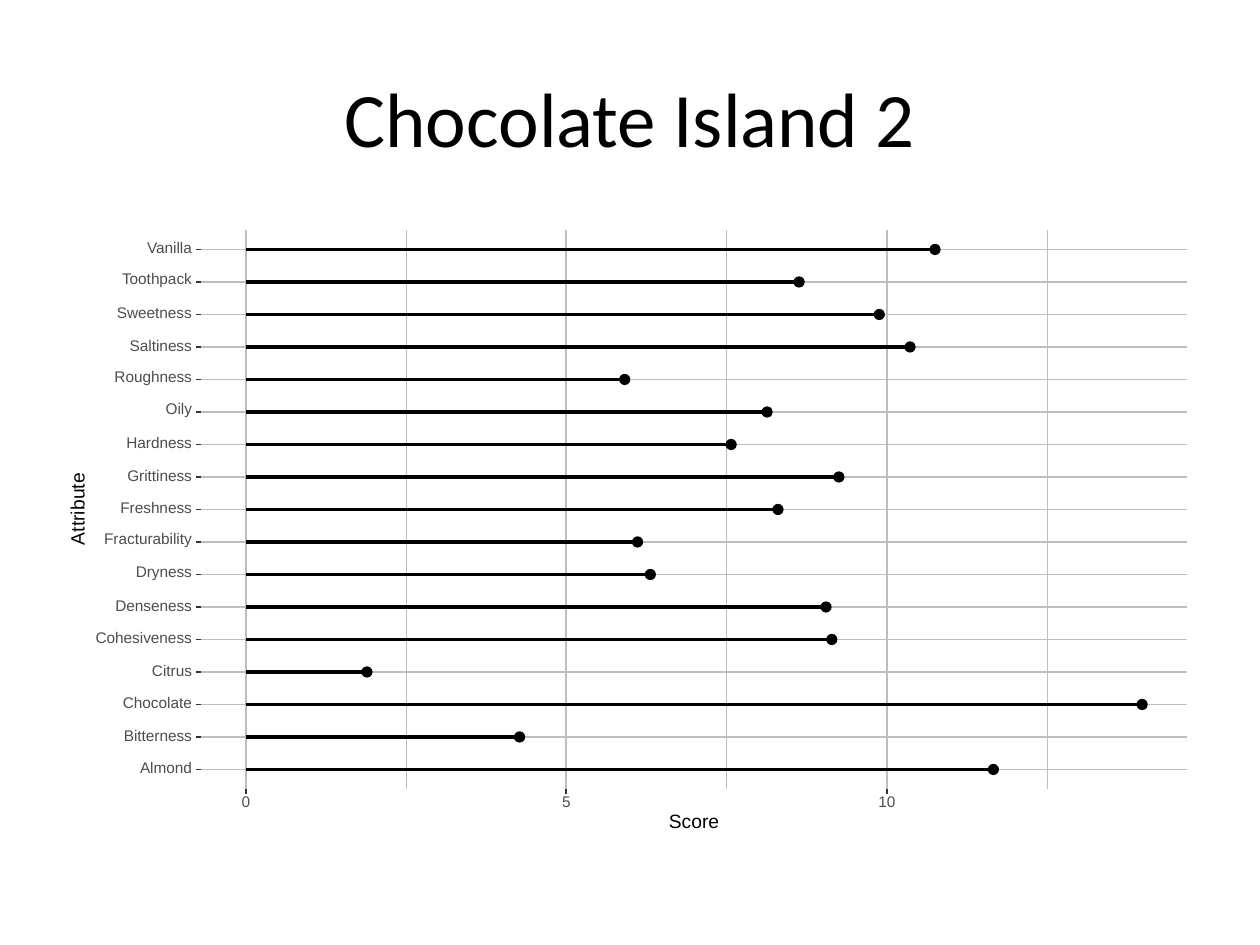
from dataclasses import dataclass

from lxml import etree
from pptx import Presentation
from pptx.dml.color import RGBColor
from pptx.enum.shapes import MSO_CONNECTOR, MSO_SHAPE
from pptx.enum.text import MSO_ANCHOR, PP_ALIGN
from pptx.oxml.ns import qn
from pptx.util import Emu, Pt

STRAIGHT = MSO_CONNECTOR.STRAIGHT
RECTANGLE, OVAL = MSO_SHAPE.RECTANGLE, MSO_SHAPE.OVAL
CENTER, RIGHT = PP_ALIGN.CENTER, PP_ALIGN.RIGHT
MIDDLE = MSO_ANCHOR.MIDDLE

PX = 914400 / 126  # EMU in one px


@dataclass(frozen=True)
class Theme:
    paper: str = "FFFFFF"
    ink: str = "000000"
    label: str = "4D4D4D"
    tick: str = "333333"
    grid: str = "BEBEBE"
    title_font: str = "Calibri"
    plot_font: str = "Arial"
    title_size: float = 44
    axis_size: float = 11
    label_size: float = 8.8
    minor_width: float = 0.53
    major_width: float = 1.07
    stem_width: float = 2.13
    dot_width: float = 0.71
    frame_width: float = 0.75


THEME = Theme()

# Panel edges and part sizes, in px
LEFT, TOP, RIGHT_EDGE, BOTTOM = 201, 230, 1187, 789
TICK, DOT = 5, 10
LABEL_EDGE = 192

MAJOR_SCORES = (0, 5, 10)
MINOR_SCORES = (2.5, 7.5, 12.5)

# Attribute, score, label width in px; from top to bottom
ATTRIBUTES = [
    ("Vanilla", 10.75, 48),
    ("Toothpack", 8.63, 74),
    ("Sweetness", 9.88, 77),
    ("Saltiness", 10.36, 65),
    ("Roughness", 5.91, 80),
    ("Oily", 8.13, 29),
    ("Hardness", 7.57, 68),
    ("Grittiness", 9.25, 67),
    ("Freshness", 8.30, 74),
    ("Fracturability", 6.11, 90),
    ("Dryness", 6.31, 59),
    ("Denseness", 9.05, 79),
    ("Cohesiveness", 9.14, 99),
    ("Citrus", 1.89, 42),
    ("Chocolate", 13.98, 71),
    ("Bitterness", 4.27, 71),
    ("Almond", 11.66, 54),
]
TOP_SCORE = max(score for _, score, _ in ATTRIBUTES)


def px(*lengths):
    return [Emu(round(length * PX)) for length in lengths]


def score_x(score):
    # The scale leaves 5 % of its range free at both ends
    return LEFT + (RIGHT_EDGE - LEFT) * (0.05 + score / TOP_SCORE) / 1.1


def row_y(index):
    # The outer rows stand 0.6 of a row gap inside the panel
    return TOP + (BOTTOM - TOP) * (0.6 + index) / (len(ATTRIBUTES) + 0.2)


def set_values(target, values):
    for name, value in values.items():
        setattr(target, name, value)


def set_line(line, color, width):
    line.color.rgb = RGBColor.from_string(color)
    line.width = Pt(width)


def add_line(shapes, x1, y1, x2, y2, color, width):
    connector = shapes.add_connector(STRAIGHT, *px(x1, y1, x2, y2))
    set_line(connector.line, color, width)
    etree.SubElement(connector._element.spPr, qn("a:effectLst"))


def add_filled(shapes, kind, place, color, width):
    shape = shapes.add_shape(kind, *px(*place))
    shape.shadow.inherit = False
    shape.fill.solid()
    shape.fill.fore_color.rgb = RGBColor.from_string(color)
    set_line(shape.line, color, width)


def add_text(shapes, words, place, font, size, color, align=CENTER, spacing=None, wrap=False):
    box = shapes.add_textbox(*px(*place))
    set_values(box.text_frame, {
        "word_wrap": wrap, "vertical_anchor": MIDDLE,
        "margin_left": 0, "margin_right": 0, "margin_top": 0, "margin_bottom": 0,
    })
    para = box.text_frame.paragraphs[0]
    set_values(para, {"alignment": align, "line_spacing": spacing})
    span = para.add_run()
    span.text = words
    set_values(span.font, {"name": font, "size": Pt(size)})
    span.font.color.rgb = RGBColor.from_string(color)
    return box


def add_plot_text(shapes, words, place, size, color, align=CENTER):
    return add_text(shapes, words, place, THEME.plot_font, size, color, align, Pt(size))


def add_grid(shapes):
    def vertical(score, width):
        add_line(shapes, score_x(score), BOTTOM, score_x(score), TOP, THEME.grid, width)

    for score in MINOR_SCORES:
        vertical(score, THEME.minor_width)
    for index in reversed(range(len(ATTRIBUTES))):
        y = row_y(index)
        add_line(shapes, LEFT, y, RIGHT_EDGE, y, THEME.grid, THEME.major_width)
    for score in MAJOR_SCORES:
        vertical(score, THEME.major_width)


def add_lollipops(shapes):
    points = [(score_x(score), row_y(index)) for index, (_, score, _) in enumerate(ATTRIBUTES)]
    for x, y in points:
        place = (x - DOT / 2, y - DOT / 2, DOT, DOT)
        add_filled(shapes, OVAL, place, THEME.ink, THEME.dot_width)
    for x, y in points:
        add_line(shapes, x, y, score_x(0), y, THEME.ink, THEME.stem_width)


def add_attribute_axis(shapes):
    for index, (name, _, width) in enumerate(ATTRIBUTES):
        y = row_y(index)
        # Names with descenders stand in a taller box
        height = 14 if set(name) & set("gpy") else 11
        place = (LABEL_EDGE - width, y + 5 - height, width, height)
        add_plot_text(shapes, name, place, THEME.label_size, THEME.label, RIGHT)
        add_line(shapes, LEFT - TICK, y, LEFT, y, THEME.tick, THEME.major_width)
    title = add_plot_text(shapes, "Attribute", (42, 502, 74, 14), THEME.axis_size, THEME.ink)
    title.rotation = 270


def add_score_axis(shapes):
    for score in MAJOR_SCORES:
        x, width = score_x(score), 10 * len(str(score))
        add_line(shapes, x, BOTTOM + TICK, x, BOTTOM, THEME.tick, THEME.major_width)
        place = (x - width / 2, 797, width, 11)
        add_plot_text(shapes, str(score), place, THEME.label_size, THEME.label)
    add_plot_text(shapes, "Score", (667, 816, 54, 14), THEME.axis_size, THEME.ink)


def main():
    deck = Presentation()
    deck.slide_width, deck.slide_height = px(1260, 945)
    page = deck.slides.add_slide(deck.slide_layouts[6])

    # Lollipop plot
    plot = page.shapes.add_group_shape().shapes
    add_filled(plot, RECTANGLE, (63, 220, 1134, 624), THEME.paper, THEME.frame_width)
    add_grid(plot)
    add_lollipops(plot)
    add_attribute_axis(plot)
    add_score_axis(plot)

    # Title
    add_text(page.shapes, "Chocolate Island 2", (63, 38, 1134, 158),
             THEME.title_font, THEME.title_size, THEME.ink, wrap=True)

    deck.save("out.pptx")


if __name__ == "__main__":
    main()
